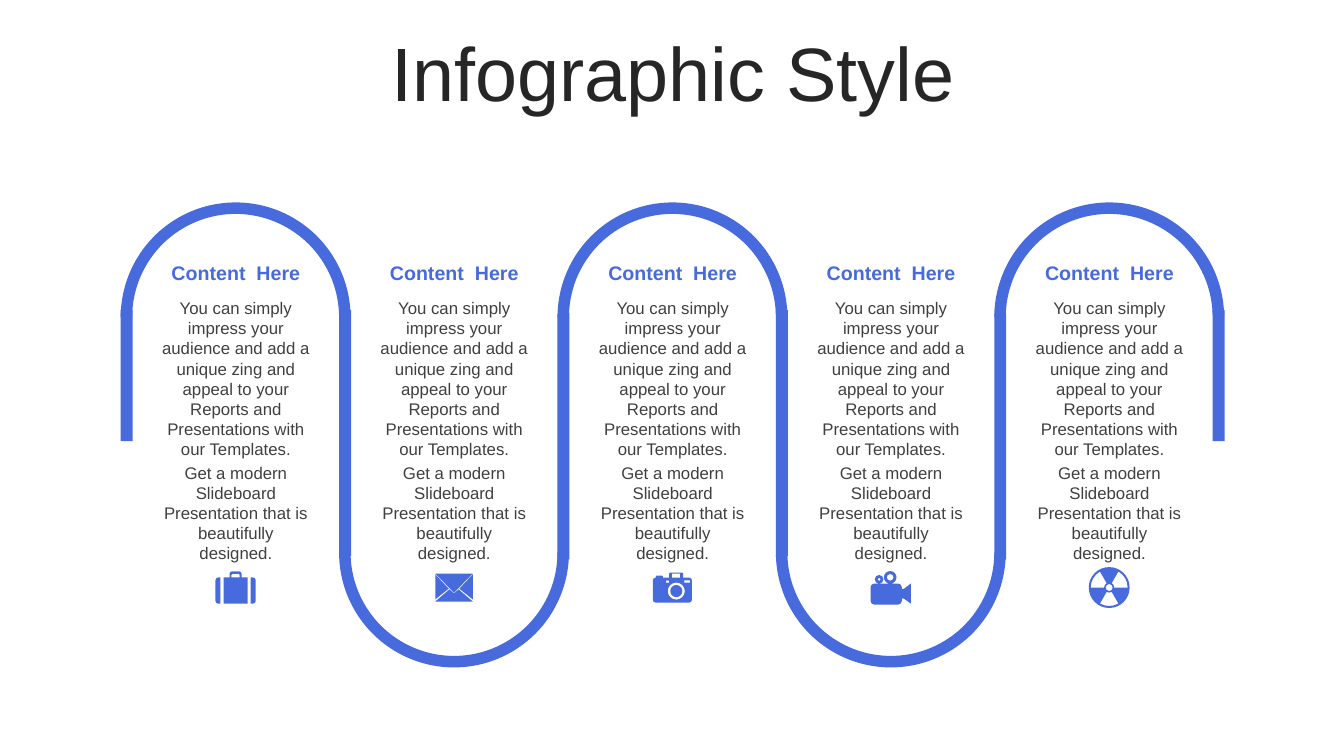
from math import cos, radians, sin, tan

from pptx import Presentation
from pptx.dml.color import RGBColor
from pptx.enum.shapes import MSO_SHAPE
from pptx.enum.text import MSO_ANCHOR, PP_ALIGN
from pptx.oxml.ns import qn
from pptx.util import Pt

BLUE = RGBColor(0x47, 0x6A, 0xDD)
DARK = RGBColor(0x26, 0x26, 0x26)
GRAY = RGBColor(0x40, 0x40, 0x40)

LEFT, PITCH, COUNT = 86.2, 156, 5
SIZE, BAR = 164.2, 8.6
HEAD = "Content  Here"
BODY = [
    "You can simply impress your audience and add a unique zing "
    "and appeal to your Reports and Presentations with our Templates.",
    "Get a modern Slideboard Presentation that is beautifully designed.",
]


def arc(x, y, r, start=0, end=360):
    """A start point, then a triple of Bezier points for each quarter or less."""
    if not r:
        return [(x, y)]
    count = -(-abs(end - start) // 90)
    step = radians((end - start) / count)
    pull = 4 / 3 * tan(step / 4)
    items = [(x + r * cos(radians(start)), y + r * sin(radians(start)))]
    for n in range(count):
        a = radians(start) + n * step
        b = a + step
        items.append((
            (x + r * (cos(a) - pull * sin(a)), y + r * (sin(a) + pull * cos(a))),
            (x + r * (cos(b) + pull * sin(b)), y + r * (sin(b) - pull * cos(b))),
            (x + r * cos(b), y + r * sin(b)),
        ))
    return items


def box(l, t, r, b, tl=0, tr=0, br=0, bl=0):
    """Outline of a rectangle with a radius for each corner."""
    return (arc(l + tl, t + tl, tl, 180, 270) + arc(r - tr, t + tr, tr, 270, 360)
            + arc(r - br, b - br, br, 0, 90) + arc(l + bl, b - bl, bl, 90, 180))


# Outlines around the centre of each icon; an outline inside another is a hole
case = [
    box(-14.4, -7.5, -10.8, 11.2, tl=2, bl=2),
    box(-8.6, -7.5, 8.6, 11.2),
    box(10.8, -7.5, 14.4, 11.2, tr=2, br=2),
    box(-4.3, -11.8, 4.3, -7.5, tl=1.5, tr=1.5),
    box(-2.9, -10.1, 2.9, -7.5, tl=0.7, tr=0.7),
]
mail = [
    [(3.3, 1), (13.4, 9.7), (-13.4, 9.7), (-3.3, 1), (0, 3.9)],
    [(13.4, -9.6), (13.4, 8.2), (3.8, 0.5)],
    [(-13.4, -9.6), (-3.8, 0.5), (-13.4, 8.2)],
    [(-13.4, -10.3), (13.4, -10.3), (0, 3.4)],
]
photo = [
    box(-14, -7.4, 14, 10.4, 2, 2, 2, 2),
    box(-11.8, -8.9, -6.7, -7.4, tl=0.5, tr=0.5),
    box(-2.4, -11, 7.7, -7.4, tl=0.7, tr=0.7),
    box(-0.3, -10.3, 5.5, -7.4),
    box(-4.6, -5.3, -2.4, -3.8),
    box(8.4, -5.5, 12.7, -3.8),
    arc(2.8, 2.2, 6.1),
    arc(2.8, 2.2, 4.3),
]
film = [
    box(-14.4, -3.1, 7.9, 11.8, 2.5, 2.5, 2.5, 2.5),
    [(7.9, 0.6), (9.4, 0.6), (14.4, -3.2), (14.4, 11.2), (9.4, 7.6), (7.9, 7.6)],
    arc(-8.3, -6.2, 3.1),
    arc(-8.3, -6.2, 1.2),
    arc(-0.4, -7.6, 4.5),
    arc(-0.4, -7.6, 2.4),
]
atom = [arc(0, -0.3, 14.6), arc(0, -0.3, 2.5)] + [
    arc(0, -0.3, 13.2, a, a + 60) + arc(0, -0.3, 3.6, a + 60, a) for a in (60, 180, 300)
]

deck = Presentation()
deck.slide_width, deck.slide_height = Pt(960), Pt(540)
slide = deck.slides.add_slide(deck.slide_layouts[6])
shapes = slide.shapes

# Text: left, top, width, height, lines, size, bold, colour, anchor
texts = [(25.2, 26.6, 911.5, 56.9, ["Infographic Style"], 54, False, DARK, MSO_ANCHOR.MIDDLE)]
for i in range(COUNT):
    x = 108 + i * PITCH
    texts.append((x, 209.2, 121, 188, BODY, 12, False, GRAY, MSO_ANCHOR.TOP))
    texts.append((x, 182.5, 121, 24.5, [HEAD], 14, True, BLUE, MSO_ANCHOR.MIDDLE))

for x, y, w, h, lines, size, bold, color, anchor in texts:
    frame = shapes.add_textbox(Pt(x), Pt(y), Pt(w), Pt(h)).text_frame
    frame.word_wrap = True
    frame.vertical_anchor = anchor
    frame.text = "\n".join(lines)
    for n, para in enumerate(frame.paragraphs):
        para.alignment = PP_ALIGN.CENTER
        if n:
            para.space_before = Pt(2.4)
        font = para.font
        font.name, font.size, font.bold = "Arial", Pt(size), bold
        font.color.rgb = color
shapes[0].text_frame.paragraphs[0].line_spacing = 0.9

# Winding ribbon: arcs alternate up and down, bars join them
parts = []
for i in range(COUNT):
    top = 312.5 if i % 2 else 144.6
    bend = shapes.add_shape(MSO_SHAPE.BLOCK_ARC, Pt(LEFT + i * PITCH), Pt(top), Pt(SIZE), Pt(SIZE))
    for n, value in enumerate((108, 215.26, 0.05)):
        bend.adjustments[n] = value
    bend.rotation = 180 * (i % 2)
    parts.append(bend)
for i in range(COUNT + 1):
    top = 221.6 if i % 2 or i == 0 else 224
    tall = 93.5 if i in (0, COUNT) else 175.7
    parts.append(shapes.add_shape(
        MSO_SHAPE.RECTANGLE, Pt(LEFT + i * PITCH), Pt(top), Pt(BAR), Pt(tall)))

for i, icon in enumerate((case, mail, photo, film, atom)):
    mid = LEFT + SIZE / 2 + i * PITCH
    pen, curves, total = None, [], 0
    for line in icon:
        spots = []
        for item in line:
            if len(item) == 3:
                curves.append(total + len(spots))
            spots += item if len(item) == 3 else [item]
        total += len(spots) + 1
        spots = [(Pt(mid + x), Pt(420 + y)) for x, y in spots]
        if pen is None:
            pen = shapes.build_freeform(*spots[0])
        else:
            pen.move_to(*spots[0])
        # Closing by hand keeps one node per spot even if it ends at its start
        pen.add_line_segments(spots[1:], close=True)
    shape = pen.convert_to_shape()
    outline = shape._element.xpath(".//a:path")[0]
    nodes = list(outline)
    for at in curves:
        nodes[at].tag = qn("a:cubicBezTo")
        for extra in nodes[at + 1:at + 3]:
            nodes[at].append(extra[0])
            outline.remove(extra)
    parts.append(shape)

for part in parts:
    part.shadow.inherit = False
    part.fill.solid()
    part.fill.fore_color.rgb = BLUE
    part.line.fill.background()

deck.save("out.pptx")
